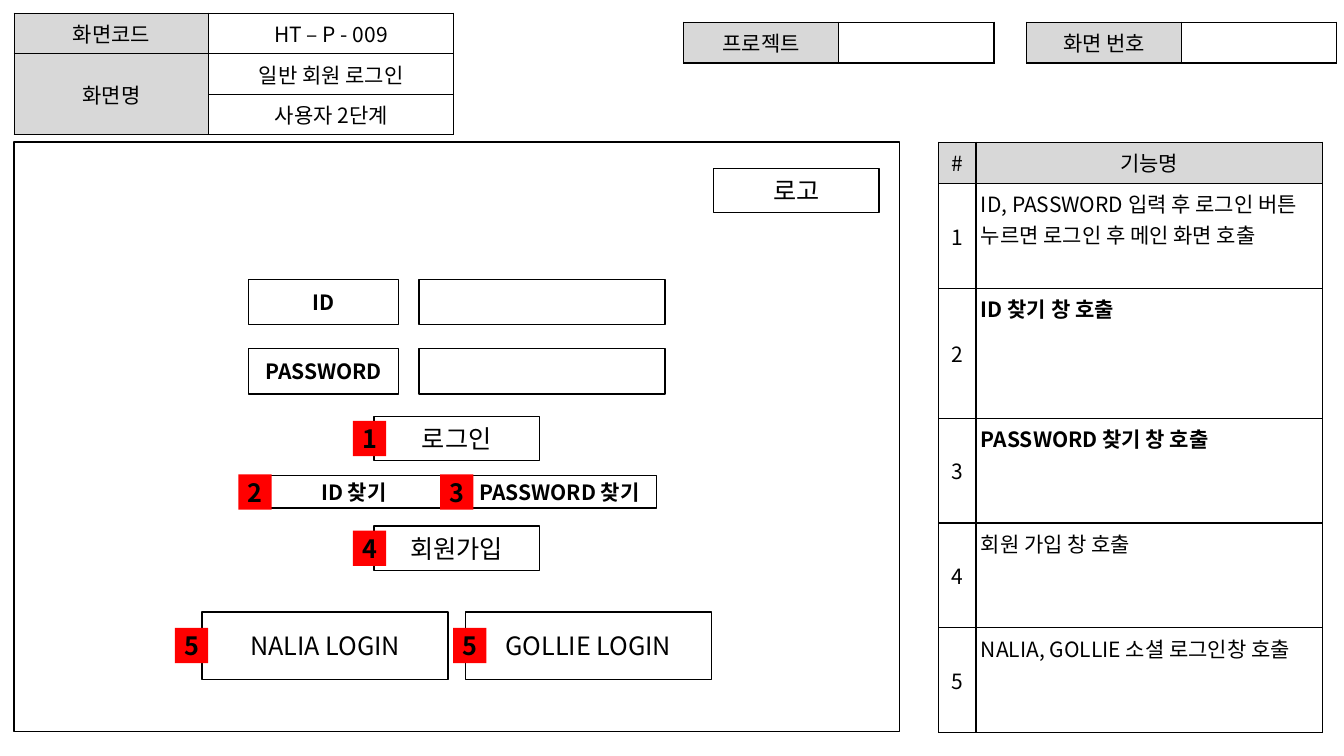
from pptx import Presentation, util as u
from pptx.dml.color import RGBColor
from pptx.enum import shapes, text
from pptx.oxml import parse_xml
from pptx.oxml.ns import nsdecls

# Content
CODE = [["화면코드", "HT – P - 009"],
        ["화면명", "일반 회원 로그인"],
        ["", "사용자 2단계"]]
LABELS = ["프로젝트", "화면 번호"]
NOTES = [("ID, PASSWORD 입력 후 로그인 버튼 누르면 로그인 후 메인 화면 호출", False),
         ("ID 찾기 창 호출", True),
         ("PASSWORD 찾기 창 호출", True),
         ("회원 가입 창 호출", False),
         ("NALIA, GOLLIE 소셜 로그인창 호출", False)]
# Form rows: top, height, gap, text format, boxes (label, width, badge, badge overhang)
BOLD, BIG = dict(size=15, bold=True), dict(size=18)
FORM = [
    (2.77, 0.45, 0.20, BOLD, [("ID", 1.49, "", 0), ("", 2.44, "", 0)]),
    (3.46, 0.45, 0.20, BOLD, [("PASSWORD", 1.49, "", 0), ("", 2.44, "", 0)]),
    (4.13, 0.44, 0, BIG, [("로그인", 1.64, "1", 0.21)]),
    (4.72, 0.32, 0.11, BOLD, [("ID 찾기", 1.93, "2", 0.18),
                              ("PASSWORD 찾기", 1.93, "3", 0.22)]),
    (5.22, 0.44, 0, BIG, [("회원가입", 1.64, "4", 0.21)]),
    (6.07, 0.67, 0.17, BIG, [("NALIA LOGIN", 2.44, "5", 0.27),
                             ("GOLLIE LOGIN", 2.44, "5", 0.12)]),
]

# Style and layout, in inches
HEX = dict(ink="000000", paper="FFFFFF", head="D8D8D8", badge="FF0000")
FONT = "Noto Sans CJK KR"
WIDE, HIGH = 13.33, 7.5
EDGE, TOP, PAD, ROW = 0.14, 1.41, 0.05, 0.4
FRAME = (EDGE, TOP, 8.78, 5.85)
AXIS = EDGE + FRAME[2] / 2
BADGE = (0.33, 0.35)

deck = Presentation()
deck.slide_width, deck.slide_height = u.Inches(WIDE), u.Inches(HIGH)
slide = deck.slides.add_slide(deck.slide_layouts[6])


def color(name):
    return RGBColor.from_string(HEX[name])


def write(frame, words, size=15, bold=False, align="CENTER"):
    frame.word_wrap = True
    para = frame.paragraphs[0]
    para.alignment = getattr(text.PP_ALIGN, align)
    if words:
        run = para.add_run()
        run.text = words
        run.font.size, run.font.bold, run.font.name = u.Pt(size), bold, FONT
        run.font.color.rgb = color("ink")
        run.font._element.append(
            parse_xml(f'<a:ea {nsdecls("a")} typeface="{FONT}"/>'))


def pad(part):
    part.margin_left = part.margin_right = u.Inches(PAD)
    part.margin_top = part.margin_bottom = u.Inches(PAD)
    part.vertical_anchor = text.MSO_ANCHOR.MIDDLE


def box(x, y, w, h, words="", fill="paper", **style):
    rect = slide.shapes.add_shape(shapes.MSO_SHAPE.RECTANGLE,
                                  *map(u.Inches, (x, y, w, h)))
    rect.shadow.inherit = False
    rect.fill.solid()
    rect.fill.fore_color.rgb = color(fill)
    if fill == "paper":
        rect.line.color.rgb, rect.line.width = color("ink"), u.Pt(1)
    else:
        rect.line.fill.background()
    pad(rect.text_frame)
    write(rect.text_frame, words, **style)


def rule(cell):
    props = cell._tc.get_or_add_tcPr()
    for i, side in enumerate(("lnL", "lnR", "lnT", "lnB")):
        props.insert(i, parse_xml(
            f'<a:{side} {nsdecls("a")} w="12700"><a:solidFill>'
            f'<a:srgbClr val="{HEX["ink"]}"/></a:solidFill></a:{side}>'))


def grid(x, y, cols, rows):
    table = slide.shapes.add_table(
        len(rows), len(cols),
        *map(u.Inches, (x, y, sum(cols), sum(rows)))).table
    table.first_row = table.horz_banding = False
    for part, sizes in ((table.columns, cols), (table.rows, rows)):
        for item, length in zip(part, sizes):
            if part is table.columns:
                item.width = u.Inches(length)
            else:
                item.height = u.Inches(length)
    return table


def put(cell, words, fill="paper", **style):
    pad(cell)
    cell.fill.solid()
    cell.fill.fore_color.rgb = color(fill)
    rule(cell)
    write(cell.text_frame, words, **style)


# Screen code and name
code = grid(EDGE, 0.13, [1.93, 2.43], [ROW] * 3)
for r, line in enumerate(CODE):
    for c, words in enumerate(line):
        put(code.cell(r, c), words, "paper" if c else "head")
code.cell(1, 0).merge(code.cell(2, 0))

# Project and screen number
for i, label in enumerate(LABELS):
    info = grid(6.78 + i * 3.4, 0.22, [1.54] * 2, [ROW])
    put(info.cell(0, 0), label, "head")
    put(info.cell(0, 1), "")

# Function list
funcs = grid(9.31, TOP, [0.37, 3.44], [0.41, 1.04, 1.29] + [1.04] * 3)
for c, words in enumerate(("#", "기능명")):
    put(funcs.cell(0, c), words, "head")
for r, (words, bold) in enumerate(NOTES, 1):
    put(funcs.cell(r, 0), str(r))
    cell = funcs.cell(r, 1)
    put(cell, words, bold=bold, align="LEFT")
    cell.vertical_anchor = text.MSO_ANCHOR.TOP

# Login screen: each form row is centred in the frame
box(*FRAME)
box(7.08, 1.67, 1.64, 0.44, "로고", **BIG)
for y, h, gap, style, items in FORM:
    x = AXIS - (sum(item[1] for item in items) + gap * (len(items) - 1)) / 2
    marks = []
    for words, w, mark, over in items:
        box(x, y, w, h, words, **style)
        if mark:
            marks.append((x - over, mark))
        x += w + gap
    for left, mark in marks:
        box(left, y + (h - BADGE[1]) / 2, *BADGE, mark, "badge",
            size=18, bold=True)

deck.save("out.pptx")
